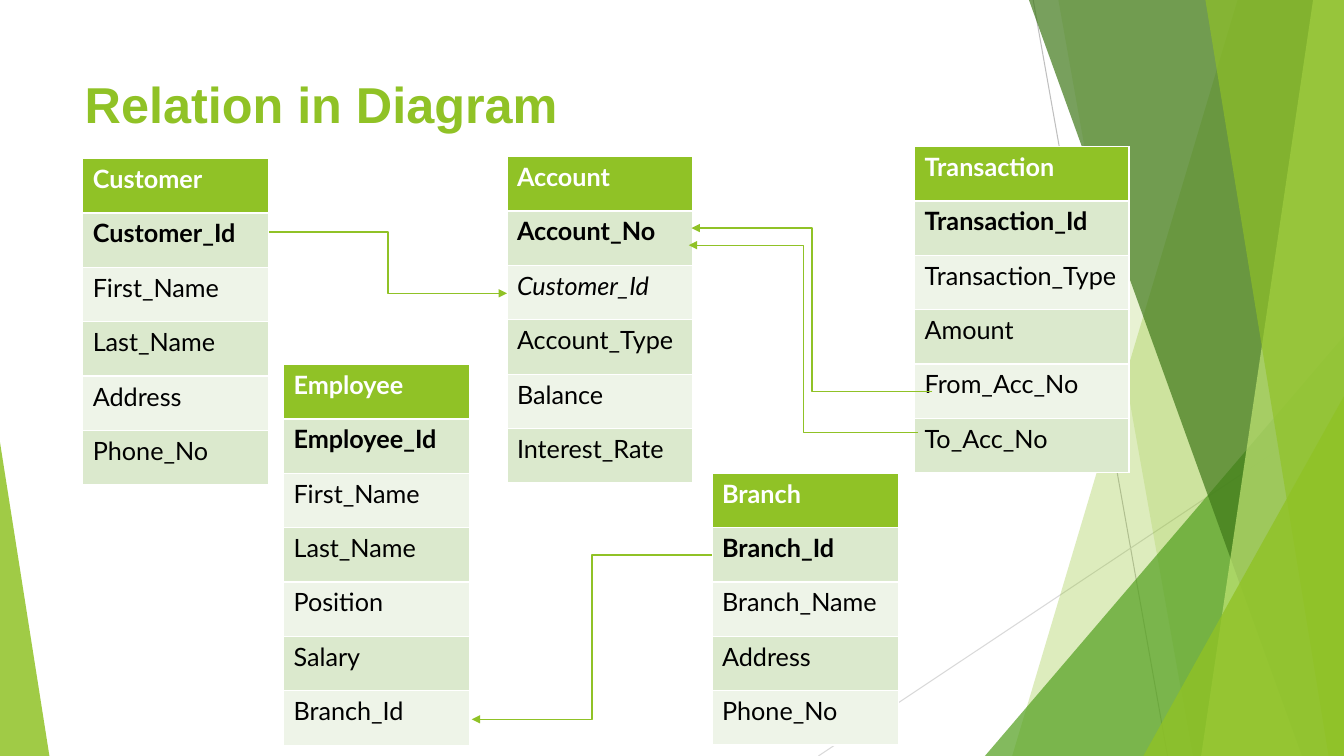
from lxml.etree import SubElement
from pptx import Presentation
from pptx.dml.color import RGBColor
from pptx.enum.shapes import MSO_CONNECTOR, MSO_SHAPE
from pptx.enum.text import MSO_ANCHOR, PP_ALIGN
from pptx.oxml.ns import qn
from pptx.util import Pt

WIDE, HIGH = 960, 540
ROW = 38.85

WHITE = RGBColor(0xFF, 0xFF, 0xFF)
BLACK = RGBColor(0x00, 0x00, 0x00)
LIME = RGBColor(0x90, 0xC2, 0x26)
LEAF = RGBColor(0x54, 0xA0, 0x21)
MOSS = RGBColor(0x3F, 0x78, 0x19)
PALE = RGBColor(0xC0, 0xE4, 0x74)
SILVER = RGBColor(0xBF, 0xBF, 0xBF)
MIST = RGBColor(0xD9, 0xD9, 0xD9)
BANDS = (RGBColor(0xDB, 0xE9, 0xCD), RGBColor(0xEE, 0xF4, 0xE8))

# left, top, width, names; the second name is the key
TABLES = [
    (59.1, 113.3, 133, ["Customer", "Customer_Id", "First_Name", "Last_Name",
                        "Address", "Phone_No"]),
    (653.3, 104.7, 153.2, ["Transaction", "Transaction_Id", "Transaction_Type",
                           "Amount", "From_Acc_No", "To_Acc_No"]),
    (362.1, 111.9, 133, ["Account", "Account_No", "Customer_Id", "Account_Type",
                         "Balance", "Interest_Rate"]),
    (508.6, 338, 133, ["Branch", "Branch_Id", "Branch_Name", "Address",
                       "Phone_No"]),
    (202.5, 260.4, 133, ["Employee", "Employee_Id", "First_Name", "Last_Name",
                         "Position", "Salary", "Branch_Id"]),
]
FOREIGN = ("Account", "Customer_Id")

LINKS = [
    ((192.1, 165.7), (362.1, 209.5)),
    ((666, 279.5), (494, 162.9)),
    ((655.7, 309), (492, 175.2)),
    ((508.6, 396.3), (337, 513.8)),
]


def write(frame, text, font="Lato", size=18, color=BLACK, bold=False,
          italic=False, align=PP_ALIGN.LEFT):
    frame.text = text
    par = frame.paragraphs[0]
    par.alignment = align
    face = par.runs[0].font
    face.name, face.size = font, Pt(size)
    face.bold, face.italic = bold, italic
    face.color.rgb = color


def paint(shape, color, alpha):
    """Fill a shape with a colour at alpha percent, without line or shadow."""
    shape.shadow.inherit = False
    shape.line.fill.background()
    shape.fill.solid()
    shape.fill.fore_color.rgb = color
    tint = shape.fill._xPr.find(qn("a:solidFill"))[0]
    SubElement(tint, qn("a:alpha"), val=str(alpha * 1000))


def add_blade(shapes, top, foot, color, alpha):
    """Fill the area from a slanted edge to the right side of the slide."""
    pen = shapes.build_freeform(top, 0, scale=Pt(1))
    pen.add_line_segments([(WIDE, 0), (WIDE, HIGH), (foot, HIGH)], close=True)
    paint(pen.convert_to_shape(), color, alpha)


def add_peak(shapes, left, top, width, apex, color, alpha):
    """Add a triangle that stands on the bottom of the slide."""
    peak = shapes.add_shape(MSO_SHAPE.ISOSCELES_TRIANGLE, Pt(left), Pt(top),
                            Pt(width), Pt(HIGH - top))
    peak.adjustments[0] = apex
    paint(peak, color, alpha)


def add_line(shapes, start, end, color, width=0.75,
             kind=MSO_CONNECTOR.STRAIGHT, arrow=False):
    line = shapes.add_connector(kind, *map(Pt, start + end))
    line.line.color.rgb = color
    line.line.width = Pt(width)
    if arrow:
        SubElement(line.line._get_or_add_ln(), qn("a:tailEnd"), type="triangle")
    SubElement(line._element.spPr, qn("a:effectLst"))


def add_backdrop(shapes):
    add_line(shapes, (738, 0), (834, HIGH), SILVER)
    add_line(shapes, (WIDE, 290), (584.6, HIGH), MIST)
    add_blade(shapes, 884, 723, LIME, 30)
    add_blade(shapes, 756, 852, LIME, 20)
    add_peak(shapes, 703.5, 240, 256.5, 1, LEAF, 72)
    add_blade(shapes, 735, 930, MOSS, 70)
    add_blade(shapes, 938, 858, PALE, 70)
    add_blade(shapes, 861, 949, LIME, 65)
    add_peak(shapes, 816.7, 283, 143.3, 1, LIME, 80)
    add_peak(shapes, 0, 316, 35.3, 0, LIME, 85)


def add_entity(shapes, left, top, width, names):
    count = len(names)
    table = shapes.add_table(count, 1, Pt(left), Pt(top), Pt(width),
                             Pt(ROW * count)).table
    for i, name in enumerate(names):
        table.rows[i].height = Pt(ROW)
        cell = table.cell(i, 0)
        cell.fill.solid()
        cell.fill.fore_color.rgb = BANDS[(i - 1) % 2] if i else LIME
        write(cell.text_frame, name, color=BLACK if i else WHITE, bold=i < 2,
              italic=(names[0], name) == FOREIGN)


def set_title(title, text):
    title.left, title.top = Pt(53.3), Pt(48.2)
    title.width, title.height = Pt(677), Pt(51)
    title.text_frame.vertical_anchor = MSO_ANCHOR.MIDDLE
    write(title.text_frame, text, font="Arial", size=36, color=LIME, bold=True)


def main():
    deck = Presentation()
    deck.slide_width, deck.slide_height = Pt(WIDE), Pt(HIGH)
    slide = deck.slides.add_slide(deck.slide_layouts[5])
    shapes = slide.shapes
    set_title(shapes.title, "Relation in Diagram")
    add_backdrop(shapes)
    for entity in TABLES:
        add_entity(shapes, *entity)
    for start, end in LINKS:
        add_line(shapes, start, end, LIME, width=1, kind=MSO_CONNECTOR.ELBOW,
                 arrow=True)
    deck.save("out.pptx")


if __name__ == "__main__":
    main()
